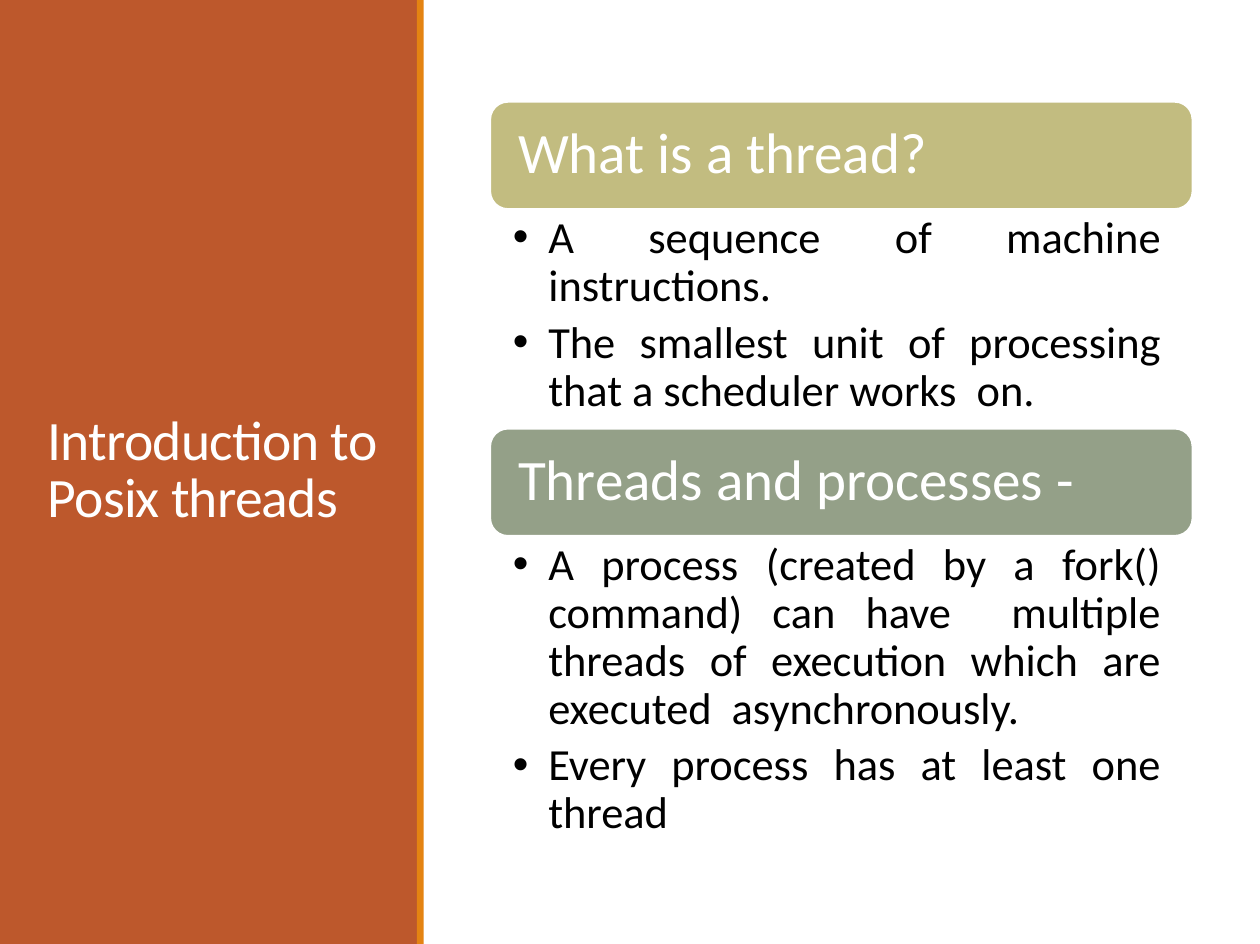
from lxml.etree import SubElement
from pptx import Presentation
from pptx.dml.color import RGBColor
from pptx.enum.shapes import MSO_SHAPE
from pptx.enum.text import MSO_ANCHOR, PP_ALIGN
from pptx.oxml.ns import qn
from pptx.util import Inches, Pt

WIDTH, HEIGHT = 11.03, 8.26
HEADING_H = 0.94

# Heading, heading colour, height of the bullet area, bullets
TOPICS = [
    ("What is a thread?", "C2BC80", 1.92, [
        "A sequence of machine instructions.",
        "The smallest unit of processing that a scheduler works  on.",
    ]),
    ("Threads and processes -", "94A088", 2.77, [
        "A process (created by a fork() command) can have  multiple threads "
        "of execution which are executed  asynchronously.",
        "Every process has at least one thread",
    ]),
]


def rgb(value):
    return RGBColor.from_string(value)


def add_block(s, kind, x, y, w, h, fill, line=None):
    sp = s.shapes.add_shape(kind, Inches(x), Inches(y), Inches(w), Inches(h))
    sp.shadow.inherit = False
    sp.fill.solid()
    sp.fill.fore_color.rgb = rgb(fill)
    if line:
        sp.line.color.rgb = rgb(line)
        sp.line.width = Pt(1.25)
    else:
        sp.line.fill.background()
    return sp


def set_frame(tf, left=0.1, right=0.1, anchor=MSO_ANCHOR.MIDDLE):
    tf.word_wrap = True
    tf.vertical_anchor = anchor
    tf.margin_left, tf.margin_right = Inches(left), Inches(right)
    tf.margin_top = tf.margin_bottom = Inches(0.05)


def write(p, text, size, color="FFFFFF", align=PP_ALIGN.LEFT, spacing=0.9,
          after=0, tracking=None, bullet=None):
    p.alignment = align
    p.line_spacing = spacing
    p.space_after = Pt(after)
    r = p.add_run()
    r.text = text
    r.font.name = "Calibri"
    r.font.size = Pt(size)
    r.font.color.rgb = rgb(color)
    if tracking:
        r.font._element.set("spc", str(int(tracking * 100)))
    if bullet:
        pPr = p._p.get_or_add_pPr()
        indent = Inches(0.31)
        pPr.set("marL", str(indent))
        pPr.set("indent", str(-indent))
        SubElement(pPr, qn("a:buFont"), typeface="Arial")
        SubElement(pPr, qn("a:buChar"), char=bullet)


def add_title_panel(s, x, y, w, h):
    # Coloured panel and its edge stripe
    add_block(s, MSO_SHAPE.RECTANGLE, x, y, w, h, "BD582C")
    add_block(s, MSO_SHAPE.RECTANGLE, x + w - 0.01, y, 0.06, h, "E48312")
    # Title
    tb = s.shapes.add_textbox(Inches(x + 0.32), Inches(y + 0.65),
                              Inches(w - 0.44), Inches(h - 1.3))
    set_frame(tb.text_frame)
    write(tb.text_frame.paragraphs[0], "Introduction to Posix threads", 35,
          spacing=0.85, tracking=-0.5)


def add_topic(s, x, y, w, h, heading, color, bullets):
    # Heading bar
    bar = add_block(s, MSO_SHAPE.ROUNDED_RECTANGLE, x, y, w, HEADING_H,
                    color, line="FFFFFF")
    set_frame(bar.text_frame, left=0.2, right=0.2)
    write(bar.text_frame.paragraphs[0], heading, 36)
    # Bullets
    tb = s.shapes.add_textbox(Inches(x), Inches(y + HEADING_H),
                              Inches(w), Inches(h - HEADING_H))
    tf = tb.text_frame
    set_frame(tf, left=0.2, right=0.28, anchor=MSO_ANCHOR.TOP)
    for i, text in enumerate(bullets):
        p = tf.add_paragraph() if i else tf.paragraphs[0]
        write(p, text, 28, color="000000", align=PP_ALIGN.JUSTIFY,
              after=5.6, bullet="•")


def add_topics(s, x, y, w):
    for heading, color, body_h, bullets in TOPICS:
        h = HEADING_H + body_h
        add_topic(s, x, y, w, h, heading, color, bullets)
        y += h


def main():
    prs = Presentation()
    prs.slide_width, prs.slide_height = Inches(WIDTH), Inches(HEIGHT)
    s = prs.slides.add_slide(prs.slide_layouts[6])
    add_title_panel(s, 0, 0, 3.66, HEIGHT)
    add_topics(s, 4.29, 0.89, 6.15)
    prs.save("out.pptx")


if __name__ == "__main__":
    main()
